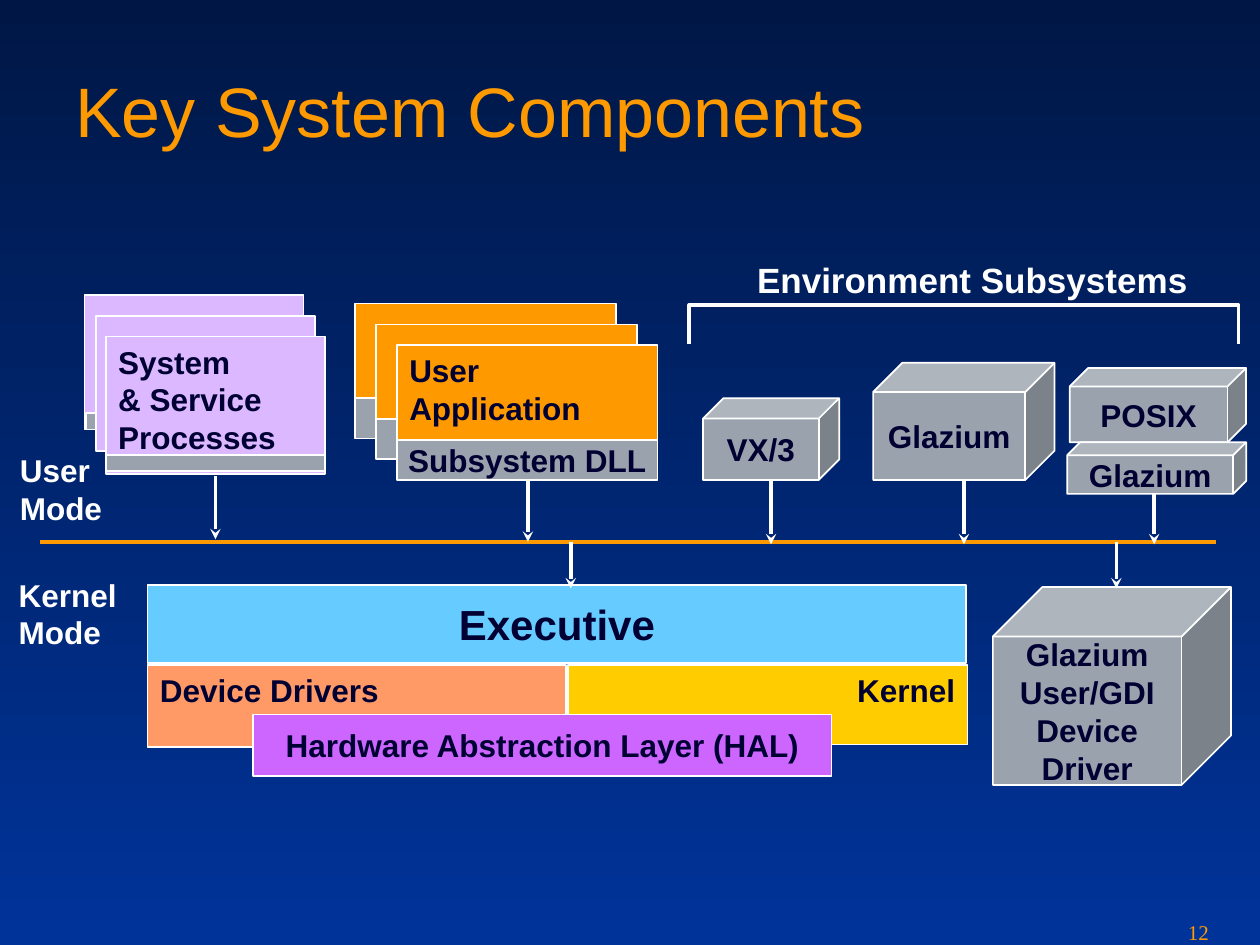
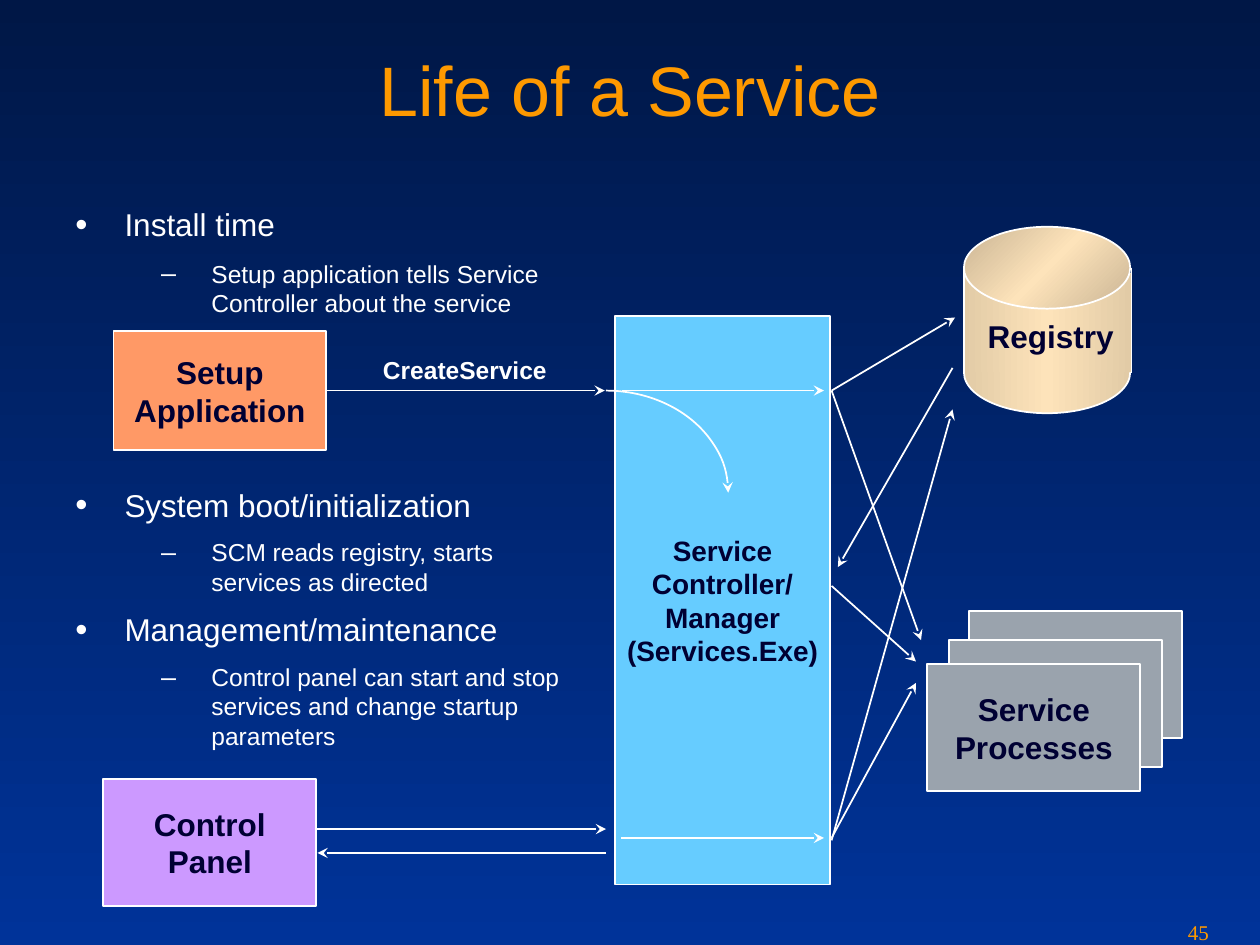
from copy import deepcopy

from lxml import etree
from pptx import Presentation
from pptx import util as u
from pptx.dml.color import RGBColor
from pptx.enum import shapes, text
from pptx.oxml.ns import qn

rgb = RGBColor.from_string
WHITE, NAVY, TITLE_ORANGE = "FFFFFF", "000033", "FE9900"
GREY, LILAC, ORANGE, SKY, SALMON = "9AA3AD", "DBB8FF", "FF9900", "66CCFF", "FF9966"
RECT, CUBE = shapes.MSO_SHAPE.RECTANGLE, shapes.MSO_SHAPE.CUBE
OVAL, ARC = shapes.MSO_SHAPE.OVAL, shapes.MSO_SHAPE.ARC
LEFT, CENTER, RIGHT = text.PP_ALIGN.LEFT, text.PP_ALIGN.CENTER, text.PP_ALIGN.RIGHT
TOP, MIDDLE = text.MSO_ANCHOR.TOP, text.MSO_ANCHOR.MIDDLE


def box(slide, place, words="", fill=None, kind=RECT, size=18, color=NAVY, bold=True,
        font="Arial", align=CENTER, anchor=MIDDLE, wrap=False):
    """Add an outlined shape, or a plain text box when kind is None."""
    place = [u.Inches(n) for n in place]
    if kind is None:
        item = slide.shapes.add_textbox(*place)
    else:
        item = slide.shapes.add_shape(kind, *place)
        item.shadow.inherit = False
        item.line.color.rgb = rgb(WHITE)
        item.line.width = u.Pt(1)
        if fill:
            item.fill.solid()
            item.fill.fore_color.rgb = rgb(fill)
        else:
            item.fill.background()
    if words:
        frame = item.text_frame
        frame.text = words
        frame.word_wrap = wrap
        frame.vertical_anchor = anchor
        for paragraph in frame.paragraphs:
            paragraph.alignment = align
            paragraph.font.name = font
            paragraph.font.size = u.Pt(size)
            paragraph.font.bold = bold
            paragraph.font.color.rgb = rgb(color)
    return item


def line(slide, start, end, width=1.0, color=WHITE, arrow=True):
    """Add a straight line from start to end, with an arrowhead at the end."""
    connector = slide.shapes.add_connector(
        shapes.MSO_CONNECTOR.STRAIGHT, *[u.Inches(n) for n in (*start, *end)])
    connector.line.color.rgb = rgb(color)
    connector.line.width = u.Pt(width)
    if arrow:
        etree.SubElement(connector.line._get_or_add_ln(), qn("a:tailEnd"), type="stealth")
    etree.SubElement(connector._element.spPr, qn("a:effectLst"))


deck = Presentation()
deck.slide_width, deck.slide_height = u.Inches(10), u.Inches(7.5)

# Shared background, title and slide number
slides = []
for title, title_top, title_align, number in [
    ("Key System Components", 0.24, LEFT, "12"),
    ("Life of a Service", 0.08, CENTER, "45"),
]:
    slide = deck.slides.add_slide(deck.slide_layouts[6])
    backdrop = slide.background.fill
    backdrop.gradient()
    backdrop.gradient_angle = 270
    for stop, shade in zip(backdrop.gradient_stops, ("001746", "003399")):
        stop.color.rgb = rgb(shade)
    box(slide, (0.5, title_top, 9, 1.25), title, kind=None, size=40, color=TITLE_ORANGE,
        bold=False, align=title_align, wrap=True)
    box(slide, (9.33, 7.25, 0.67, 0.25), number, kind=None, size=12, color=TITLE_ORANGE,
        bold=False, font="Times New Roman", align=LEFT, anchor=TOP, wrap=True)
    slides.append(slide)
components, service_life = slides

# Slide 1: stacked system processes
box(components, (0.67, 2.34, 1.74, 1.07), fill=LILAC)
box(components, (0.68, 3.28, 1.65, 0.13), fill=GREY)
box(components, (0.76, 2.51, 1.74, 1.07), fill=LILAC)
box(components, (0.84, 2.67, 1.74, 1.09), "System\n& Service\vProcesses", LILAC,
    align=LEFT, anchor=TOP, wrap=True)
box(components, (0.84, 3.61, 1.74, 0.13), fill=GREY)

# Stacked user applications, each on its subsystem DLL
for layer in range(3):
    x, y = 2.82 + layer * 0.165, 2.41 + layer * 0.165
    front = layer == 2
    box(components, (x, y, 2.07, 0.9), "User\nApplication" if front else "", ORANGE,
        align=LEFT, anchor=TOP, wrap=True)
    box(components, (x, y + 0.75, 2.07, 0.32), "Subsystem DLL" if front else "", GREY)

# Environment subsystems under their bracket
box(components, (5.91, 2, 3.62, 0.43), "Environment Subsystems", kind=None, size=20,
    color=WHITE, align=LEFT, anchor=TOP)
corners = [(u.Inches(x), u.Inches(y))
           for x, y in [(5.47, 2.73), (5.47, 2.42), (9.83, 2.42), (9.83, 2.73)]]
outline = components.shapes.build_freeform(*corners[0])
outline.add_line_segments(corners[1:], close=False)
bracket = outline.convert_to_shape()
bracket.shadow.inherit = False
bracket.fill.background()
bracket.line.color.rgb = rgb(WHITE)
bracket.line.width = u.Pt(2)

for place, name in [
    ((5.58, 3.16, 1.08, 0.65), "VX/3"),
    ((6.93, 2.88, 1.44, 0.93), "Glazium"),
    ((8.49, 2.92, 1.4, 0.59), "POSIX"),
    ((8.47, 3.51, 1.42, 0.41), "Glazium"),
    ((7.88, 4.66, 1.89, 1.57), "Glazium\nUser/GDI\nDevice\nDriver"),
]:
    box(components, place, name, GREY, CUBE)

# Border between user mode and kernel mode
line(components, (0.32, 4.3), (9.65, 4.3), 2, TITLE_ORANGE, arrow=False)
for place, mode in [((0.06, 3.53, 0.86, 0.7), "User\nMode"),
                    ((0.05, 4.52, 0.98, 0.7), "Kernel\nMode")]:
    box(components, place, mode, kind=None, color=WHITE, align=LEFT, anchor=TOP)

# Kernel mode layers
box(components, (1.17, 4.64, 6.5, 0.62), "Executive", SKY, size=24)
box(components, (1.17, 5.28, 3.32, 0.65), "Device Drivers", SALMON, align=LEFT, anchor=TOP)
box(components, (4.51, 5.28, 3.17, 0.63), "Kernel", "FFCC00", align=RIGHT, anchor=TOP)
box(components, (2.01, 5.67, 4.59, 0.49), "Hardware Abstraction Layer (HAL)", "CC66FF")

# Calls down to the border and on into the kernel
for x, top, bottom in [(1.71, 3.78, 4.28), (4.19, 3.8, 4.3), (6.12, 3.82, 4.32),
                       (7.65, 3.82, 4.32), (9.16, 3.92, 4.32),
                       (4.53, 4.3, 4.67), (8.86, 4.3, 4.67)]:
    line(components, (x, top), (x, bottom), 2)

# Slide 2: the service controller
box(service_life, (4.88, 2.51, 1.71, 4.51),
    "Service\nController/\nManager\n(Services.Exe)", SKY, size=16)

# Phases: level, words, space before, space after
phases = [
    (0, "Install time", 0, 4.5),
    (1, "Setup application tells Service Controller about the service", 4.5, 4.5),
    (0, "System boot/initialization", 91.5, 4.5),
    (1, "SCM reads registry, starts\vservices as directed", 3.5, 3.5),
    (0, "Management/maintenance", 4.5, 4.5),
    (1, "Control panel can start and stop services and change startup parameters", 3.5, 3.5),
]
levels = [("•", 18, 0.39, -0.39), ("–", 14, 1.08, -0.4)]
body = service_life.shapes.add_textbox(*[u.Inches(n) for n in (0.5, 1.58, 4.3, 5.03)]).text_frame
body.word_wrap = True
for index, (level, words, before, after) in enumerate(phases):
    paragraph = body.add_paragraph() if index else body.paragraphs[0]
    paragraph.text = words
    paragraph.level = level
    paragraph.space_before, paragraph.space_after = u.Pt(before), u.Pt(after)
    mark, size, margin, indent = levels[level]
    props = paragraph._p.get_or_add_pPr()
    props.set("marL", str(u.Inches(margin)))
    props.set("indent", str(u.Inches(indent)))
    bullet_color = etree.SubElement(props, qn("a:buClr"))
    etree.SubElement(bullet_color, qn("a:srgbClr"), val=WHITE)
    etree.SubElement(props, qn("a:buSzPct"), val="110000")
    etree.SubElement(props, qn("a:buFont"), typeface="Arial")
    etree.SubElement(props, qn("a:buChar"), char=mark)
    paragraph.font.name = "Arial"
    paragraph.font.size = u.Pt(size)
    paragraph.font.color.rgb = rgb(WHITE)

# Programs that call the controller
box(service_life, (0.9, 2.63, 1.69, 0.94), "Setup\nApplication", SALMON)
box(service_life, (2.94, 2.77, 1.5, 0.33), "CreateService", kind=None, size=14,
    color=WHITE, anchor=TOP)
box(service_life, (0.82, 6.18, 1.69, 1.01), "Control\nPanel", "CC99FF")

# Registry drum: base, wall, lid
for place, kind, edge_shade, angle in [
    ((7.65, 2.63, 1.32, 0.65), OVAL, "E2CBA6", 180),
    ((7.64, 2.17, 1.34, 0.78), RECT, "E2CBA6", 180),
    ((7.65, 1.8, 1.32, 0.65), OVAL, "C9B494", 135),
]:
    part = box(service_life, place, kind=kind)
    part.fill.gradient()
    part.fill.gradient_angle = angle
    stops = part._element.spPr.find(qn("a:gradFill")).find(qn("a:gsLst"))
    stops.insert(1, deepcopy(stops[0]))
    for stop, shade, position in zip(part.fill.gradient_stops,
                                     (edge_shade, "FDE3BA", edge_shade), (0, 0.5, 1)):
        stop.color.rgb = rgb(shade)
        stop.position = position
    if kind == RECT:
        part.line.fill.background()
for x in (7.65, 8.98):
    line(service_life, (x, 2.13), (x, 2.96), arrow=False)
box(service_life, (7.74, 2.47, 1.2, 0.4), "Registry", kind=None, align=LEFT, anchor=TOP)

# Stacked service processes
for x, y, words in [(7.69, 4.85, ""), (7.53, 5.08, ""), (7.36, 5.27, "Service\nProcesses")]:
    box(service_life, (x, y, 1.69, 1.01), words, GREY)

# Message flow
for start, end in [
    ((2.59, 3.1), (4.8, 3.1)), ((4.94, 3.1), (6.54, 3.1)),
    ((2.52, 6.58), (4.81, 6.58)), ((4.81, 6.77), (2.52, 6.77)),
    ((4.93, 6.65), (6.54, 6.65)),
    ((6.6, 3.1), (7.58, 2.52)), ((6.6, 3.1), (7.31, 5.08)),
    ((7.56, 2.92), (6.65, 4.5)), ((6.6, 4.65), (7.27, 5.25)),
    ((6.6, 6.65), (7.27, 5.42)), ((6.6, 6.67), (7.56, 3.25)),
]:
    line(service_life, start, end)
request_curve = box(service_life, (3.84, 3.1, 1.94, 1.62), kind=ARC)
etree.SubElement(request_curve.line._get_or_add_ln(), qn("a:tailEnd"), type="stealth")

deck.save("out.pptx")
